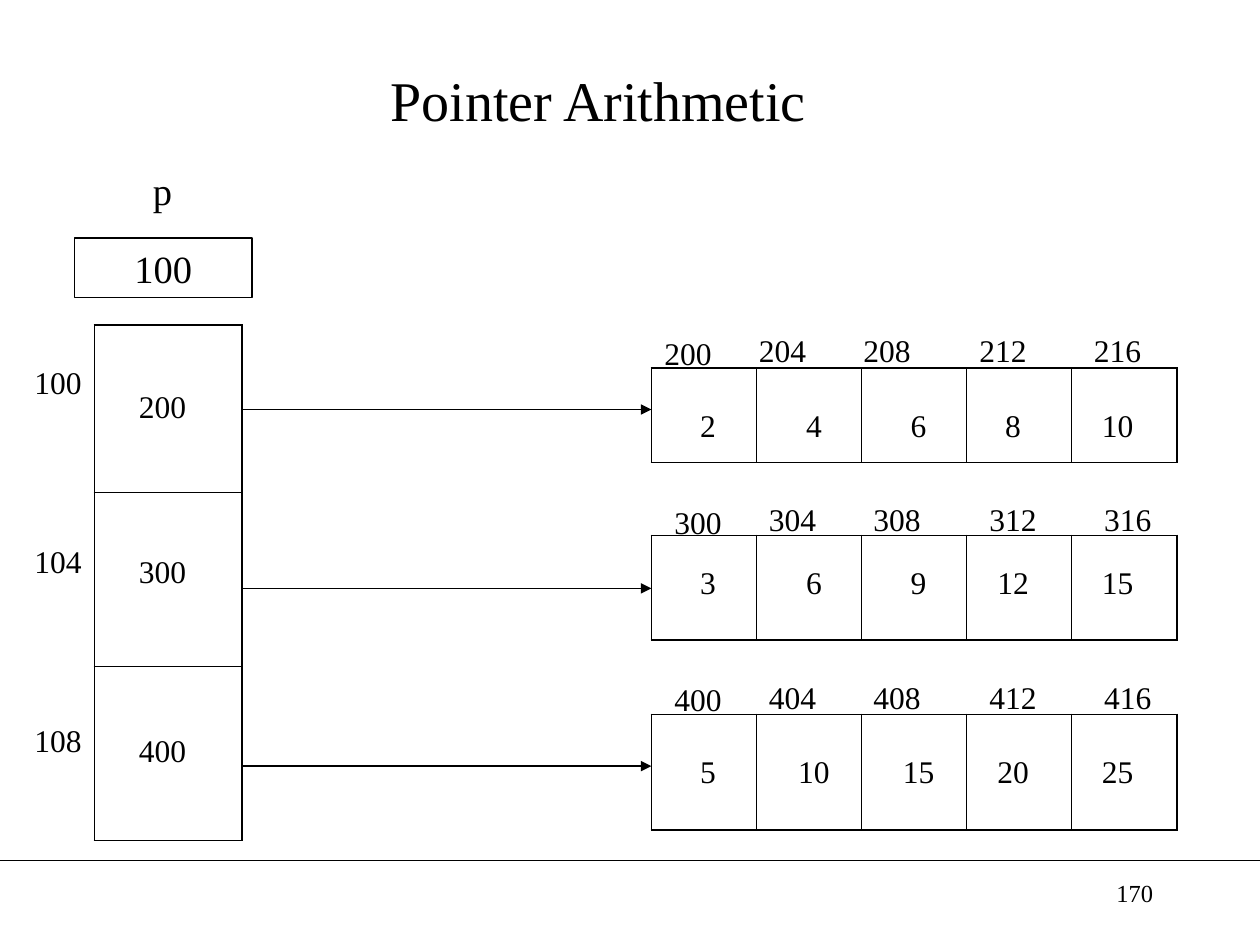
import pptx
import pptx.util
import pptx.dml.color
import pptx.enum.shapes
import pptx.enum.text
import pptx.oxml.ns
from lxml import etree

Inches = pptx.util.Inches
Pt = pptx.util.Pt
qn = pptx.oxml.ns.qn
ALIGN = pptx.enum.text.PP_ALIGN
ANCHOR = pptx.enum.text.MSO_ANCHOR
INK = "000000"


def color(value):
    return pptx.dml.color.RGBColor.from_string(value)


def write(frame, text, size, align=ALIGN.CENTER, anchor=ANCHOR.TOP):
    frame.word_wrap = True
    frame.vertical_anchor = anchor
    paragraph = frame.paragraphs[0]
    paragraph.alignment = align
    run = paragraph.add_run()
    run.text = text
    run.font.size = Pt(size)
    run.font.name = "Times New Roman"
    run.font.color.rgb = color(INK)


deck = pptx.Presentation()
deck.slide_width = Inches(10)
deck.slide_height = Inches(7.5)
shapes = deck.slides.add_slide(deck.slide_layouts[6]).shapes

title = shapes.add_textbox(Inches(0.5), Inches(0.25), Inches(8.5), Inches(1.08))
write(title.text_frame, "Pointer Arithmetic", 32, anchor=ANCHOR.MIDDLE)

pointer_name = shapes.add_textbox(Inches(0.83), Inches(1.28), Inches(0.92), Inches(0.47))
write(pointer_name.text_frame, "p", 22)

pointer = shapes.add_shape(pptx.enum.shapes.MSO_SHAPE.RECTANGLE,
                           Inches(0.59), Inches(1.89), Inches(1.41), Inches(0.47))
pointer.shadow.inherit = False
pointer.fill.background()
pointer.line.color.rgb = color(INK)
pointer.line.width = Pt(0.75)
write(pointer.text_frame, "100", 22, anchor=ANCHOR.MIDDLE)

# left, top, column widths, row heights
memory_blocks = [
    (0.75, 2.58, [1.17], [1.33, 1.38, 1.38]),
    (5.17, 2.92, [4.17 / 5] * 5, [0.75]),
    (5.17, 4.25, [4.17 / 5] * 5, [0.83]),
    (5.17, 5.67, [4.17 / 5] * 5, [0.92]),
]
for left, top, widths, heights in memory_blocks:
    block = shapes.add_table(len(heights), len(widths), Inches(left), Inches(top),
                             Inches(sum(widths)), Inches(sum(heights))).table
    block.first_row = False
    block.horz_banding = False
    for column, width in zip(block.columns, widths):
        column.width = Inches(width)
    for row, height in zip(block.rows, heights):
        row.height = Inches(height)
    for r in range(len(heights)):
        for c in range(len(widths)):
            cell = block.cell(r, c)
            properties = cell._tc.get_or_add_tcPr()
            outer_sides = {"lnL": c == 0, "lnR": c == len(widths) - 1,
                           "lnT": r == 0, "lnB": r == len(heights) - 1}
            for side, outer in outer_sides.items():
                border = etree.SubElement(properties, qn("a:" + side),
                                          w=str(Pt(1.08 if outer else 0.45)))
                fill = etree.SubElement(border, qn("a:solidFill"))
                etree.SubElement(fill, qn("a:srgbClr"), val=INK)
            cell.fill.background()

# left, top, text
labels = []
for address, address_top, target, target_top in [
        ("100", 2.83, "200", 3.02), ("104", 4.25, "300", 4.33), ("108", 5.67, "400", 5.75)]:
    labels += [(0.17, address_top, address), (1, target_top, target)]

address_lefts = [5.17, 5.92, 6.75, 7.67, 8.58]
value_lefts = [5.33, 6.17, 7, 7.75, 8.58]
for base, shift, address_top, value_top, step in [
        (200, 0, 2.58, 3.17, 2), (300, 0.08, 3.92, 4.42, 3), (400, 0.08, 5.33, 5.92, 5)]:
    for i in range(5):
        drop = 0.02 if i == 0 else 0
        labels.append((address_lefts[i] + shift, address_top + drop, str(base + 4 * i)))
        labels.append((value_lefts[i], value_top, str(step * (i + 1))))

for left, top, text in labels:
    label = shapes.add_textbox(Inches(left), Inches(top), Inches(0.58), Inches(0.4))
    write(label.text_frame, text, 18)

# start x, end x, y, arrowhead
for start, end, y, arrow in [(0, 10, 6.83, False), (1.92, 5.17, 3.25, True),
                             (1.92, 5.17, 4.67, True), (1.92, 5.17, 6.08, True)]:
    line = shapes.add_connector(pptx.enum.shapes.MSO_CONNECTOR.STRAIGHT,
                                Inches(start), Inches(y), Inches(end), Inches(y))
    line.line.color.rgb = color(INK)
    line.line.width = Pt(0.75)
    if arrow:
        etree.SubElement(line.line._get_or_add_ln(), qn("a:tailEnd"), type="triangle")
    etree.SubElement(line._element.spPr, qn("a:effectLst"))

page_number = shapes.add_textbox(Inches(7.17), Inches(6.92), Inches(2.08), Inches(0.5))
write(page_number.text_frame, "170", 14, align=ALIGN.RIGHT)

deck.save("out.pptx")
